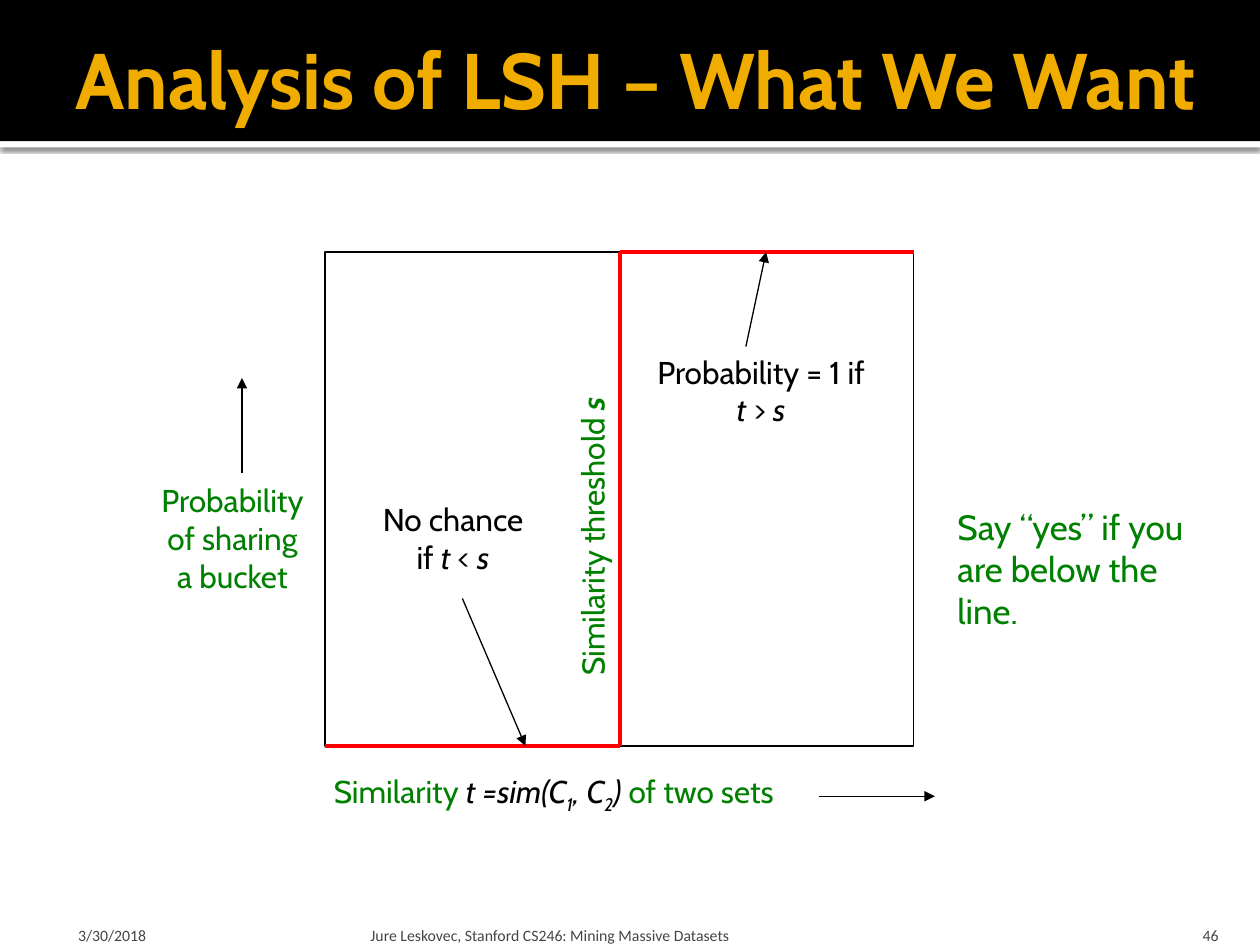
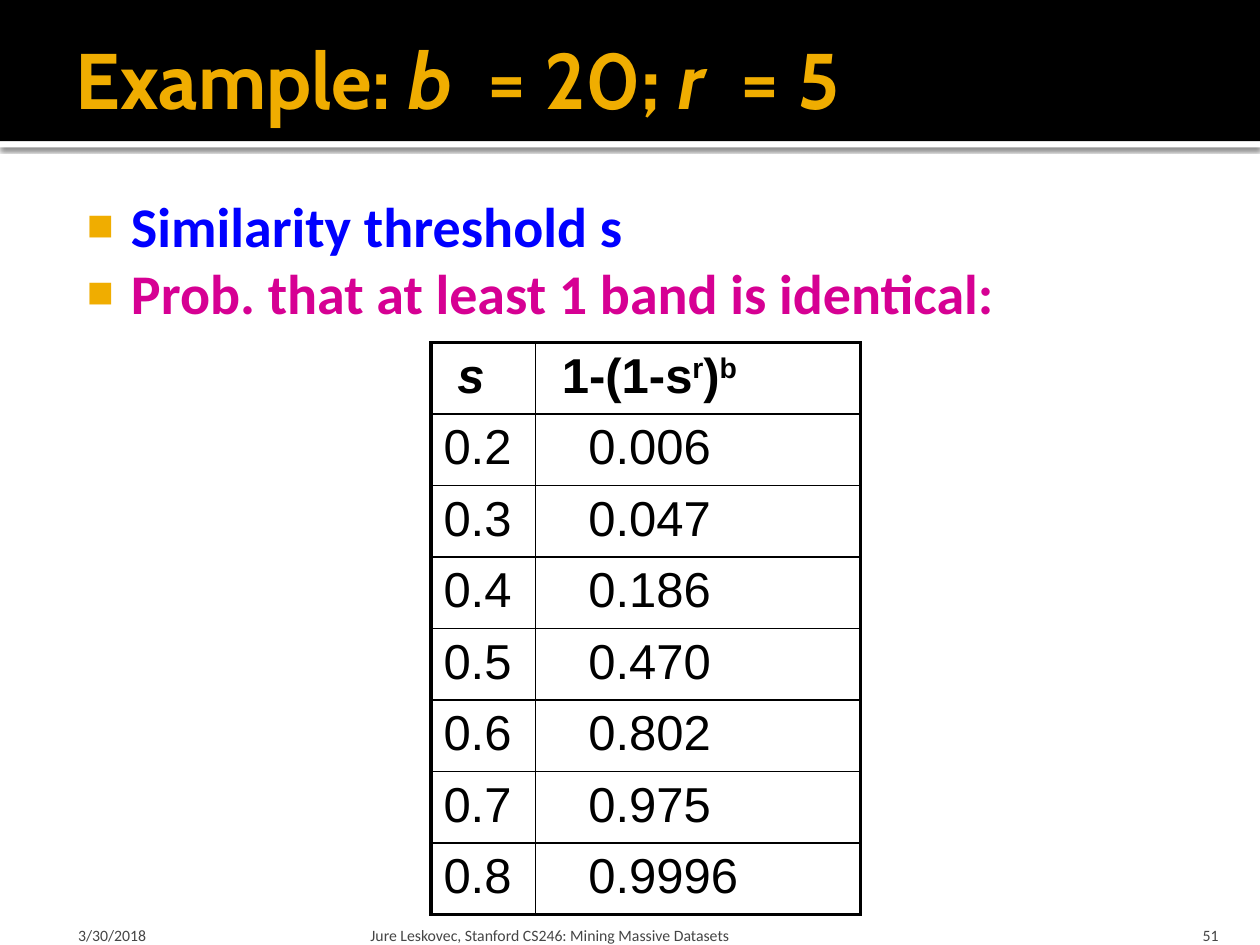
import pptx
import pptx.dml.color
import pptx.enum.shapes
import pptx.enum.text
import pptx.oxml
import pptx.oxml.ns
import pptx.util
from lxml import etree

Inches = pptx.util.Inches
Pt = pptx.util.Pt
ALIGN = pptx.enum.text.PP_ALIGN
ANCHOR = pptx.enum.text.MSO_ANCHOR
qn = pptx.oxml.ns.qn

BLACK, WHITE, RED, GREEN = "000000", "FFFFFF", "FF0000", "008000"
GOLD, BLUE, MAGENTA, GREY = "F0AD00", "0000FF", "D60093", "454545"
ITALIC = {"italic": True}
DATE = "3/30/2018"
COURSE = "Jure Leskovec, Stanford CS246: Mining Massive Datasets"


def rgb(hex_color):
    return pptx.dml.color.RGBColor.from_string(hex_color)


def add_xml(parent, tag, **attributes):
    return etree.SubElement(parent, qn(tag), attributes)


class Deck:
    """Holds the presentation, its shared style and the slide being filled."""

    def __init__(self):
        self.presentation = pptx.Presentation()
        self.presentation.slide_width = Inches(10)
        self.presentation.slide_height = Inches(7.5)

    def start_slide(self, title, number):
        layout = self.presentation.slide_layouts[6]
        self.shapes = self.presentation.slides.add_slide(layout).shapes
        strip = self.box(0, 1.12, 10, 0.05, fill=WHITE)
        self.soft_shadow(strip)
        self.box(0, 0, 10, 1.12, fill=BLACK)
        self.text([title], 0.5, 0.08, 9.33, 1.08, 45, GOLD, bold=True,
                  anchor=ANCHOR.MIDDLE, insets=(0.1, 0.05, 0.05, 0.05))
        footers = [
            (DATE, 0.5, 2.33, ALIGN.LEFT, (0.12, 0.05, 0.05, 0)),
            (COURSE, 2.89, 6.02, ALIGN.LEFT, (0.05, 0.05, 0.05, 0)),
            (str(number), 8.97, 0.8, ALIGN.RIGHT, (0.1, 0.05, 0.1, 0)),
        ]
        for words, left, width, align, insets in footers:
            self.text([words], left, 7.2, width, 0.3, 9, GREY, font="Calibri",
                      align=align, anchor=ANCHOR.BOTTOM, insets=insets)

    def box(self, left, top, width, height, fill=None, line=None):
        shape = self.shapes.add_shape(
            pptx.enum.shapes.MSO_SHAPE.RECTANGLE,
            Inches(left), Inches(top), Inches(width), Inches(height))
        shape.shadow.inherit = False
        if fill:
            shape.fill.solid()
            shape.fill.fore_color.rgb = rgb(fill)
        else:
            shape.fill.background()
        if line:
            shape.line.color.rgb = rgb(line)
            shape.line.width = Pt(0.75)
        else:
            shape.line.fill.background()
        return shape

    def soft_shadow(self, shape):
        effects = shape._element.spPr.find(qn("a:effectLst"))
        shadow = add_xml(effects, "a:outerShdw", blurRad=str(Pt(2.5)),
                         dist=str(Pt(0.8)), dir="5400000", rotWithShape="0")
        color = add_xml(shadow, "a:srgbClr", val=BLACK)
        add_xml(color, "a:alpha", val="60000")

    def line(self, start, end, color=BLACK, width=0.75, arrow=False):
        connector = self.shapes.add_connector(
            pptx.enum.shapes.MSO_CONNECTOR.STRAIGHT,
            *(Inches(value) for value in (*start, *end)))
        connector.line.color.rgb = rgb(color)
        connector.line.width = Pt(width)
        properties = connector._element.spPr
        if arrow:
            add_xml(properties.find(qn("a:ln")), "a:tailEnd", type="triangle")
        add_xml(properties, "a:effectLst")

    def set_words(self, paragraph, content, size, color, font="Cabin", bold=False):
        """Fill a paragraph from a string or from (text, style) pairs."""
        face = paragraph.font
        face.name, face.size, face.bold = font, Pt(size), bold
        face.color.rgb = rgb(color)
        runs = [(content, {})] if isinstance(content, str) else content
        for words, style in runs:
            run = paragraph.add_run()
            run.text = words
            if "italic" in style:
                run.font.italic = style["italic"]
            if "bold" in style:
                run.font.bold = style["bold"]
            if "color" in style:
                run.font.color.rgb = rgb(style["color"])
            for attribute in ("baseline", "spc"):
                if attribute in style:
                    run._r.get_or_add_rPr().set(attribute, str(style[attribute]))

    def frame(self, left, top, width, height, insets, wrap=True, rotation=0):
        holder = self.shapes.add_textbox(
            Inches(left), Inches(top), Inches(width), Inches(height))
        holder.rotation = rotation
        frame = holder.text_frame
        frame.word_wrap = wrap
        (frame.margin_left, frame.margin_top,
         frame.margin_right, frame.margin_bottom) = map(Inches, insets)
        return frame

    def text(self, paragraphs, left, top, width, height, size, color,
             font="Cabin", bold=False, align=ALIGN.LEFT, anchor=ANCHOR.TOP,
             insets=(0.1, 0.05, 0.1, 0.05), wrap=True, rotation=0):
        frame = self.frame(left, top, width, height, insets, wrap, rotation)
        frame.vertical_anchor = anchor
        for index, content in enumerate(paragraphs):
            paragraph = frame.add_paragraph() if index else frame.paragraphs[0]
            paragraph.alignment = align
            self.set_words(paragraph, content, size, color, font, bold)

    def label(self, paragraphs, left, top, width, height, color=BLACK, **options):
        self.text(paragraphs, left, top, width, height, 18, color,
                  align=ALIGN.CENTER, **options)

    def bullets(self, items, left, top, width, height):
        frame = self.frame(left, top, width, height, (0.06, 0.1, 0.1, 0.05))
        for index, (words, color) in enumerate(items):
            paragraph = frame.add_paragraph() if index else frame.paragraphs[0]
            properties = paragraph._p.get_or_add_pPr()
            properties.set("marL", str(Inches(0.48)))
            properties.set("indent", str(Inches(-0.35)))
            bullet_color = add_xml(properties, "a:buClr")
            add_xml(bullet_color, "a:srgbClr", val=GOLD)
            add_xml(properties, "a:buSzPct", val="80000")
            add_xml(properties, "a:buFont", typeface="Arial")
            add_xml(properties, "a:buChar", char="■")
            self.set_words(paragraph, words, 32, color, "Calibri", bold=True)

    def table(self, rows, left, top, column_widths, row_height):
        """Draw a grid with a thick outer frame; the first row is bold."""
        last_row, last_column = len(rows) - 1, len(column_widths) - 1
        grid = self.shapes.add_table(
            len(rows), len(column_widths), Inches(left), Inches(top),
            Inches(sum(column_widths)), Inches(row_height * len(rows))).table
        grid.first_row = grid.horz_banding = False
        for column, width in zip(grid.columns, column_widths):
            column.width = Inches(width)
        for r, row in enumerate(rows):
            grid.rows[r].height = Inches(row_height)
            for c, (content, indent) in enumerate(row):
                cell = grid.cell(r, c)
                cell.margin_left = Inches(0.1 + indent)
                self.set_words(cell.text_frame.paragraphs[0], content, 28, BLACK,
                               "Arial", bold=r == 0)
                outer = {"a:lnL": c == 0, "a:lnR": c == last_column,
                         "a:lnT": r == 0, "a:lnB": r == last_row}
                self.borders(cell, outer)
                cell.fill.background()

    def borders(self, cell, outer):
        properties = cell._tc.get_or_add_tcPr()
        for side, is_outer in outer.items():
            edge = add_xml(properties, side, w=str(Pt(2.25 if is_outer else 1)))
            add_xml(add_xml(edge, "a:solidFill"), "a:srgbClr", val=BLACK)


def ideal_step_slide(deck):
    deck.start_slide("Analysis of LSH – What We Want", 46)
    left, threshold, right = 2.58, 4.92, 7.25
    top, bottom = 2, 5.92
    deck.box(left, top, right - left, bottom - top, line=BLACK)

    subscript = {"italic": True, "color": BLACK, "baseline": -25000}
    formula = {"italic": True, "color": BLACK}
    deck.label([[("Similarity ", {}), ("t =sim(C", formula), ("1", subscript),
                 (", C", formula), ("2", subscript), (")", formula),
                 (" of two sets", {})]], 2.02, 6.08, 4.75, 0.4, GREEN)
    deck.label(["Probability", "of sharing", "a bucket"],
               1.17, 3.77, 1.35, 1, GREEN, wrap=False)
    deck.line((6.5, 6.32), (7.42, 6.32), arrow=True)
    deck.line((1.92, 3.75), (1.92, 3), arrow=True)

    deck.label([[("Similarity threshold ", {}),
                 ("s", {"bold": True, "italic": True})]],
               3.44, 4.06, 2.52, 0.4, GREEN, wrap=False, rotation=270)
    step = [(left, bottom), (threshold, bottom), (threshold, top), (right, top)]
    for start, end in zip(step, step[1:]):
        deck.line(start, end, RED, 2)

    deck.label(["No chance", [("if ", {}), ("t", ITALIC), (" < ", {}),
                              ("s", ITALIC)]],
               2.92, 3.92, 1.35, 0.7, wrap=False)
    deck.line((3.67, 4.75), (4.17, bottom), arrow=True)
    deck.label([[("Probability = 1 if ", {}), ("t", ITALIC), (" > ", {}),
                 ("s", ITALIC)]], 5.08, 2.75, 1.92, 0.7)
    deck.line((5.92, 2.75), (6.08, top), arrow=True)
    deck.text(["Say “yes” if you", "are below the line."],
              7.5, 3.96, 2.1, 1.1, 20, GREEN)


def example_slide(deck):
    spaced_italic = {"italic": True, "spc": 1000}
    deck.start_slide([("Example: ", {}), ("b", spaced_italic), (" = 20; ", {}),
                      ("r", spaced_italic), (" = 5", {})], 51)
    deck.bullets([("Similarity threshold s", BLUE),
                  ("Prob. that at least 1 band is identical:", MAGENTA)],
                 0.5, 1.42, 9, 5.75)
    power = {"baseline": 30000}
    header = [([("s", ITALIC)], 0.11),
              ([("1-(1-s", {}), ("r", power), (")", {}), ("b", power)], 0.11)]
    probabilities = {"0.2": "0.006", "0.3": "0.047", "0.4": "0.186",
                     "0.5": "0.470", "0.6": "0.802", "0.7": "0.975",
                     "0.8": "0.9996"}
    rows = [[(s, 0), (probability, 0.32)]
            for s, probability in probabilities.items()]
    deck.table([header] + rows, 3.42, 2.72, (0.83, 2.58), 0.56)


def main():
    deck = Deck()
    ideal_step_slide(deck)
    example_slide(deck)
    deck.presentation.save("out.pptx")


if __name__ == "__main__":
    main()
